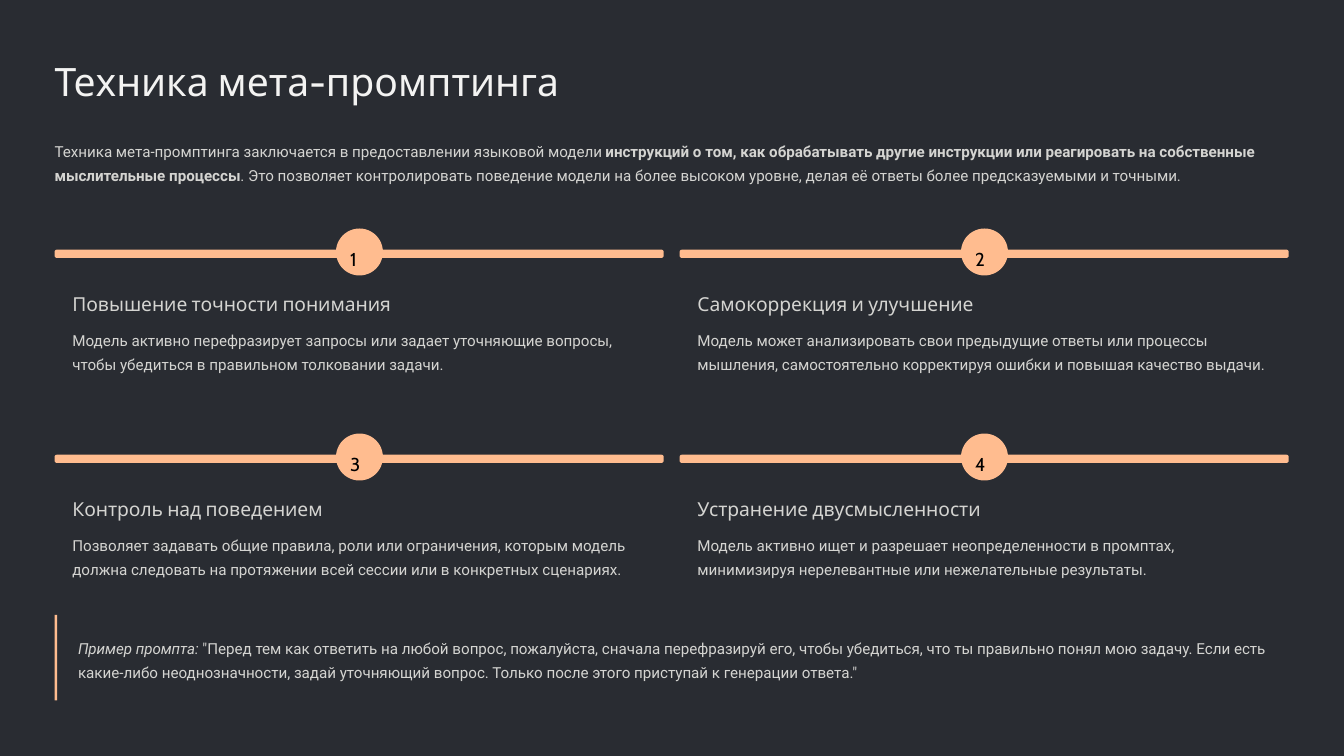
from dataclasses import dataclass, field
from typing import Any

from pptx import Presentation
from pptx.dml.color import RGBColor
from pptx.enum.shapes import MSO_SHAPE as Preset
from pptx.enum.text import MSO_ANCHOR as Anchor, MSO_AUTO_SIZE as AutoSize, PP_ALIGN as Align
from pptx.util import Cm, Pt

COLORS = {
    "background": "292C32",
    "accent": "FFBC8F",
    "title": "F3F3F2",
    "text": "D4D4D1",
    "number": "000000",
}


@dataclass(frozen=True)
class Box:
    left: float
    top: float
    width: float
    height: float

    def shifted(self, right: float, down: float) -> "Box":
        return Box(self.left + right, self.top + down, self.width, self.height)

    def lengths(self) -> tuple[Cm, Cm, Cm, Cm]:
        return Cm(self.left), Cm(self.top), Cm(self.width), Cm(self.height)


@dataclass(frozen=True)
class Style:
    font: str
    size: float
    leading: float
    color: str
    wrap: bool = True


@dataclass(frozen=True)
class Span:
    text: str
    emphasis: dict[str, bool] = field(default_factory=dict)


@dataclass(frozen=True)
class Benefit:
    heading: str
    description: str


TITLE = Style("Cabin", 33.5, 41.5, "title")
BODY = Style("Roboto", 13, 21, "text")
HEADING = Style("Cabin", 16.5, 20.5, "text")
NUMBER = Style("Cabin", 16, 25.5, "number", wrap=False)

INTRO = [
    Span("Техника мета-промптинга заключается в предоставлении языковой модели "),
    Span(
        "инструкций о том, как обрабатывать другие инструкции или реагировать "
        "на собственные мыслительные процессы",
        {"bold": True},
    ),
    Span(
        ". Это позволяет контролировать поведение модели на более высоком уровне, "
        "делая её ответы более предсказуемыми и точными."
    ),
]
BENEFITS = [
    Benefit(
        "Повышение точности понимания",
        "Модель активно перефразирует запросы или задает уточняющие вопросы, "
        "чтобы убедиться в правильном толковании задачи.",
    ),
    Benefit(
        "Самокоррекция и улучшение",
        "Модель может анализировать свои предыдущие ответы или процессы мышления, "
        "самостоятельно корректируя ошибки и повышая качество выдачи.",
    ),
    Benefit(
        "Контроль над поведением",
        "Позволяет задавать общие правила, роли или ограничения, которым модель "
        "должна следовать на протяжении всей сессии или в конкретных сценариях.",
    ),
    Benefit(
        "Устранение двусмысленности",
        "Модель активно ищет и разрешает неопределенности в промптах, "
        "минимизируя нерелевантные или нежелательные результаты.",
    ),
]
EXAMPLE = [
    Span("Пример промпта:", {"italic": True}),
    Span(
        ' "Перед тем как ответить на любой вопрос, пожалуйста, сначала перефразируй его, '
        "чтобы убедиться, что ты правильно понял мою задачу. Если есть какие-либо "
        "неоднозначности, задай уточняющий вопрос. Только после этого приступай "
        'к генерации ответа."'
    ),
]

COLUMNS = 2
COLUMN_STEP = 18.9
ROW_STEP = 6.2
BAR = Box(1.65, 7.55, 18.42, 0.25)
BADGE = Box(10.16, 6.91, 1.42, 1.42)
NUMBER_BOX = Box(10.59, 7.26, 0.56, 0.71)
HEADING_BOX = Box(2.19, 8.8, 17.35, 0.74)
DESCRIPTION_BOX = Box(2.19, 9.82, 17.35, 1.52)


def rgb(name: str) -> RGBColor:
    return RGBColor.from_string(COLORS[name])


def apply(target: Any, values: dict[str, Any]) -> None:
    for name, value in values.items():
        setattr(target, name, value)


def write(holder: Any, spans: list[Span], style: Style) -> None:
    frame = holder.text_frame
    apply(frame, {
        "margin_left": 0, "margin_top": 0, "margin_right": 0, "margin_bottom": 0,
        "word_wrap": style.wrap, "auto_size": AutoSize.NONE, "vertical_anchor": Anchor.TOP,
    })
    paragraph = frame.paragraphs[0]
    apply(paragraph, {
        "alignment": Align.LEFT, "line_spacing": Pt(style.leading), "space_before": Pt(0),
    })
    for span in spans:
        run = paragraph.add_run()
        run.text = span.text
        apply(run.font, {"name": style.font, "size": Pt(style.size), **span.emphasis})
        run.font.color.rgb = rgb(style.color)


def add_text(slide: Any, box: Box, spans: list[Span], style: Style) -> None:
    write(slide.shapes.add_textbox(*box.lengths()), spans, style)


def add_accent(slide: Any, preset: Preset, box: Box, rounding: float | None = None) -> None:
    accent = slide.shapes.add_shape(preset, *box.lengths())
    accent.shadow.inherit = False
    accent.fill.solid()
    accent.fill.fore_color.rgb = rgb("accent")
    accent.line.fill.background()
    if rounding is not None:
        accent.adjustments[0] = rounding


def add_benefit(slide: Any, index: int, benefit: Benefit) -> None:
    row, column = divmod(index, COLUMNS)
    shift = (column * COLUMN_STEP, row * ROW_STEP)
    add_accent(slide, Preset.ROUNDED_RECTANGLE, BAR.shifted(*shift), 0.28)
    add_accent(slide, Preset.OVAL, BADGE.shifted(*shift))
    add_text(slide, NUMBER_BOX.shifted(*shift), [Span(str(index + 1))], NUMBER)
    add_text(slide, HEADING_BOX.shifted(*shift), [Span(benefit.heading)], HEADING)
    add_text(slide, DESCRIPTION_BOX.shifted(*shift), [Span(benefit.description)], BODY)


def main() -> None:
    deck = Presentation()
    apply(deck, {"slide_width": Cm(40.64), "slide_height": Cm(22.86)})
    slide = deck.slides.add_slide(deck.slide_layouts.get_by_name("Title Only"))
    slide.background.fill.solid()
    slide.background.fill.fore_color.rgb = rgb("background")

    title = slide.shapes.title
    apply(title, dict(zip(
        ("left", "top", "width", "height"), Box(1.65, 1.68, 16, 1.47).lengths()
    )))
    write(title, [Span("Техника мета-промптинга")], TITLE)
    add_text(slide, Box(1.65, 4.11, 37.34, 2.26), INTRO, BODY)
    for index, benefit in enumerate(BENEFITS):
        add_benefit(slide, index, benefit)
    add_text(slide, Box(2.36, 19.13, 36.63, 1.52), EXAMPLE, BODY)
    add_accent(slide, Preset.RECTANGLE, Box(1.65, 18.59, 0.08, 2.59))
    deck.save("out.pptx")


if __name__ == "__main__":
    main()
